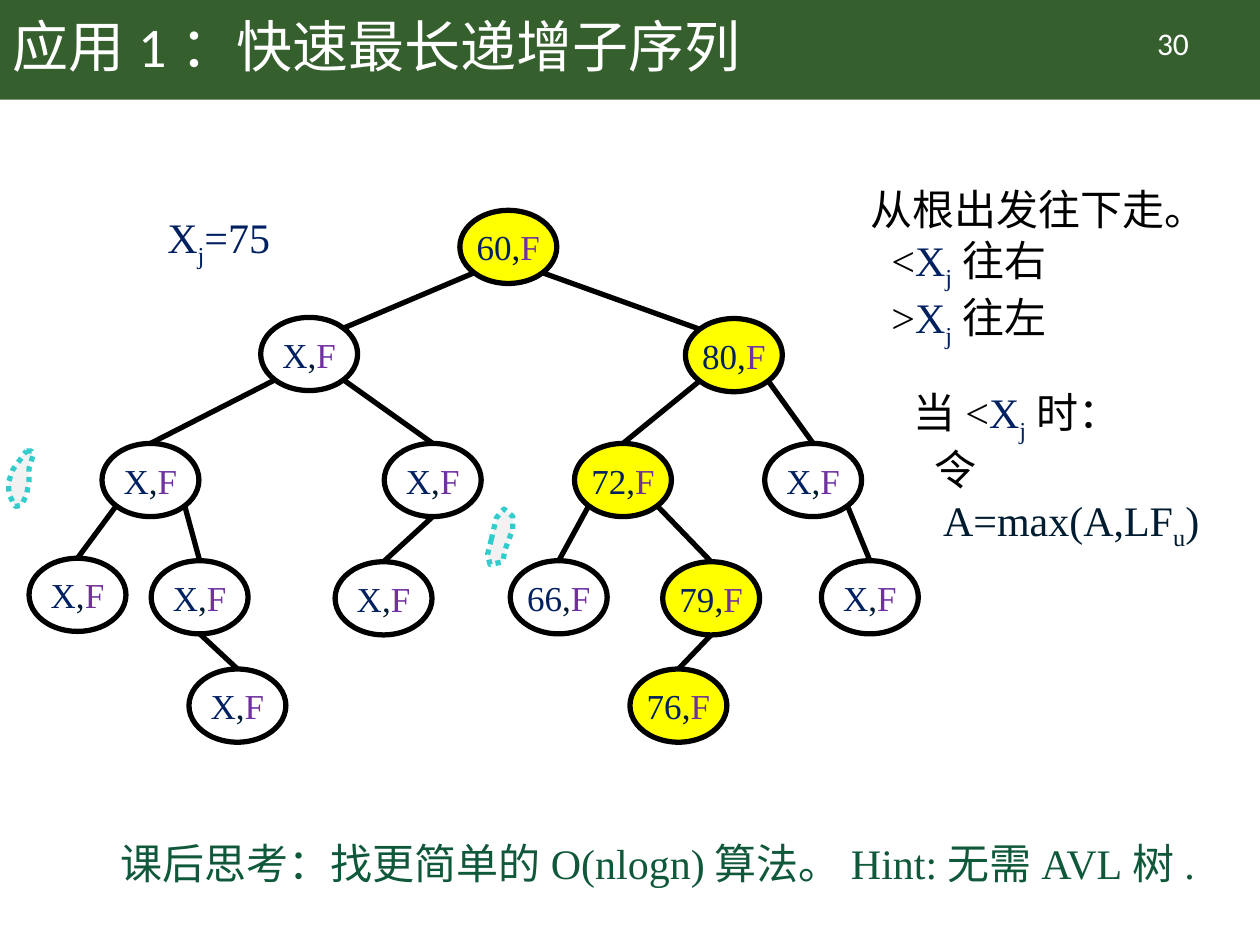
from lxml import etree
from pptx import Presentation
from pptx.dml.color import RGBColor
from pptx.enum.dml import MSO_LINE
from pptx.enum.shapes import MSO_CONNECTOR, MSO_SHAPE
from pptx.enum.text import MSO_ANCHOR, PP_ALIGN
from pptx.oxml.ns import qn
from pptx.util import Pt

ELLIPSE, RECTANGLE = MSO_SHAPE.OVAL, MSO_SHAPE.RECTANGLE
STRAIGHT = MSO_CONNECTOR.STRAIGHT
DOTTED = MSO_LINE.ROUND_DOT
LEFT, CENTER = PP_ALIGN.LEFT, PP_ALIGN.CENTER
MIDDLE = MSO_ANCHOR.MIDDLE

COLORS = {
    "band": "365F2E", "white": "FFFFFF", "black": "000000", "visited": "FFFF00",
    "key": "002060", "dark": "001C30", "flag": "7030A0", "hint": "10583A",
    "mark_fill": "F2F2F2", "mark_line": "33CCCC",
}
SERIF, SANS = "Times New Roman", "Calibri"
NODE_WIDTH, NODE_HEIGHT = 55.4, 41.8
DIAGONAL = 0.5 ** 0.5 / 2
LINE_WIDTH = 3

TITLE = "应用1：快速最长递增子序列"
PAGE_NUMBER = "30"

# Path from the root (L or R at each step): left, top, key, on the search path
NODES = {
    "": (262.8, 120.2, "60", True),
    "L": (149, 181.4, "X", False),
    "R": (391.7, 182, "80", True),
    "LL": (58.3, 253.4, "X", False),
    "LR": (219.6, 253.4, "X", False),
    "RL": (328.3, 253.4, "72", True),
    "RR": (437, 253.4, "X", False),
    "LLL": (16.6, 319, "X", False),
    "LLR": (86.4, 320.4, "X", False),
    "LRL": (191.5, 321, "X", False),
    "RLL": (291.6, 320.4, "66", False),
    "RLR": (378.7, 321, "79", True),
    "RRR": (469.4, 320.4, "X", False),
    "LLRR": (108, 382.3, "X", False),
    "RLRL": (360, 382.3, "76", True),
}
BOTTOM_EXITS = {"LRL", "LLRR", "RLRL"}

X_J = [("X", "key"), ("j", "key", "sub")]
# Boxes: left, top, width, height, then paragraphs as (indent, runs)
TEXT_BOXES = [
    (61.9, 475.2, 620.6, 36, [
        (0, [("课后思考：找更简单的O(nlogn)算法。Hint:无需AVL树.", "hint")])]),
    (490.3, 101.5, 211, 94.3, [
        (0, [("从根出发往下走。", "black")]),
        (12, [("<", "black"), *X_J, ("往右", "black")]),
        (12, [(">", "black"), *X_J, ("往左", "black")])]),
    (514.8, 217.4, 198.7, 94.3, [
        (0, [("当<", "black"), *X_J, ("时：", "black")]),
        (12, [("令", "black")]),
        (17, [("A=max(A,LF", "dark"), ("u", "dark", "sub"), (")", "dark")])]),
    (88.6, 117.4, 91.4, 36, [(0, [*X_J, ("=75", "key")])]),
]

# Outlines in hundredths of an inch
MARKS = [
    [(390, 428), (387, 440), (389, 448), (399, 446), (401, 436), (407, 420),
     (407, 410), (400, 404), (394, 411)],
    [(21, 358), (25, 358), (26, 362), (23, 372), (23, 382), (21, 393), (17, 401),
     (12, 402), (8, 394), (7, 389), (7, 382), (10, 373)],
]


def color(name):
    return RGBColor.from_string(COLORS[name])


def format_font(font, name, size, color_name):
    font.name, font.size = name, Pt(size)
    font.color.rgb = color(color_name)


def add_runs(paragraph, runs, size):
    """Add serif runs given as (text, color) or (text, color, "sub")."""
    for text, color_name, *subscript in runs:
        run = paragraph.add_run()
        run.text = text
        format_font(run.font, SERIF, size, color_name)
        if subscript:
            run.font._element.set("baseline", "-25000")


def add_text_box(slide, left, top, width, height):
    box = slide.shapes.add_textbox(Pt(left), Pt(top), Pt(width), Pt(height))
    box.text_frame.word_wrap = True
    return box.text_frame


def add_header(slide):
    band = slide.shapes.add_shape(RECTANGLE, 0, 0, Pt(720), Pt(56.9))
    band.shadow.inherit = False
    band.fill.solid()
    band.fill.fore_color.rgb = color("band")
    band.line.fill.background()
    title = slide.shapes.title
    title._element.addprevious(band._element)

    title.left, title.top, title.width, title.height = 0, 0, Pt(620.6), Pt(56.9)
    title.text_frame.text = TITLE
    title.text_frame.vertical_anchor = MIDDLE
    paragraph = title.text_frame.paragraphs[0]
    paragraph.alignment, paragraph.line_spacing = LEFT, 0.9
    format_font(paragraph.runs[0].font, SANS, 32, "white")

    frame = add_text_box(slide, 627.1, 10.1, 86.4, 28.8)
    frame.text = PAGE_NUMBER
    frame.paragraphs[0].alignment = CENTER
    format_font(frame.paragraphs[0].runs[0].font, SANS, 18, "white")


def add_mark(slide, points):
    builder = slide.shapes.build_freeform(*points[0], scale=Pt(0.72))
    builder.add_line_segments(points[1:], close=True)
    mark = builder.convert_to_shape()
    mark.shadow.inherit = False
    mark.fill.solid()
    mark.fill.fore_color.rgb = color("mark_fill")
    mark.line.color.rgb = color("mark_line")
    mark.line.width, mark.line.dash_style = Pt(LINE_WIDTH), DOTTED


def add_node(slide, left, top, key, visited):
    node = slide.shapes.add_shape(
        ELLIPSE, Pt(left), Pt(top), Pt(NODE_WIDTH), Pt(NODE_HEIGHT))
    node.shadow.inherit = False
    if visited:
        node.fill.solid()
        node.fill.fore_color.rgb = color("visited")
    else:
        node.fill.background()
    node.line.color.rgb = color("black")
    node.line.width = Pt(LINE_WIDTH)
    frame = node.text_frame
    frame.margin_left = frame.margin_right = frame.margin_top = frame.margin_bottom = 0
    frame.vertical_anchor = MIDDLE
    frame.paragraphs[0].alignment = CENTER
    add_runs(frame.paragraphs[0], [(key, "key"), (",", "dark"), ("F", "flag")], 20)


def rim_point(path, across, down):
    """Point on a node's rim; across and down are fractions from its centre."""
    left, top = NODES[path][:2]
    return Pt(left + NODE_WIDTH * (0.5 + across)), Pt(top + NODE_HEIGHT * (0.5 + down))


def add_edge(slide, path):
    side = DIAGONAL if path[-1] == "R" else -DIAGONAL
    exit_site = (0, 0.5) if path in BOTTOM_EXITS else (side, DIAGONAL)
    entry_site = (-side, -DIAGONAL) if len(path) == 1 else (0, -0.5)
    edge = slide.shapes.add_connector(
        STRAIGHT, *rim_point(path[:-1], *exit_site), *rim_point(path, *entry_site))
    edge.line.color.rgb = color("black")
    edge.line.width = Pt(LINE_WIDTH)
    etree.SubElement(edge._element.spPr, qn("a:effectLst"))


def add_body_text(slide, left, top, width, height, paragraphs):
    frame = add_text_box(slide, left, top, width, height)
    for index, (indent, runs) in enumerate(paragraphs):
        paragraph = frame.add_paragraph() if index else frame.paragraphs[0]
        if indent:
            paragraph._p.get_or_add_pPr().set("marL", str(Pt(indent)))
        add_runs(paragraph, runs, 24)


def main():
    presentation = Presentation()
    presentation.slide_width, presentation.slide_height = Pt(720), Pt(540)
    slide = presentation.slides.add_slide(presentation.slide_layouts[5])
    add_header(slide)
    for points in MARKS:
        add_mark(slide, points)
    for node in NODES.values():
        add_node(slide, *node)
    for path in filter(None, NODES):
        add_edge(slide, path)
    for box in TEXT_BOXES:
        add_body_text(slide, *box)
    presentation.save("out.pptx")


if __name__ == "__main__":
    main()
